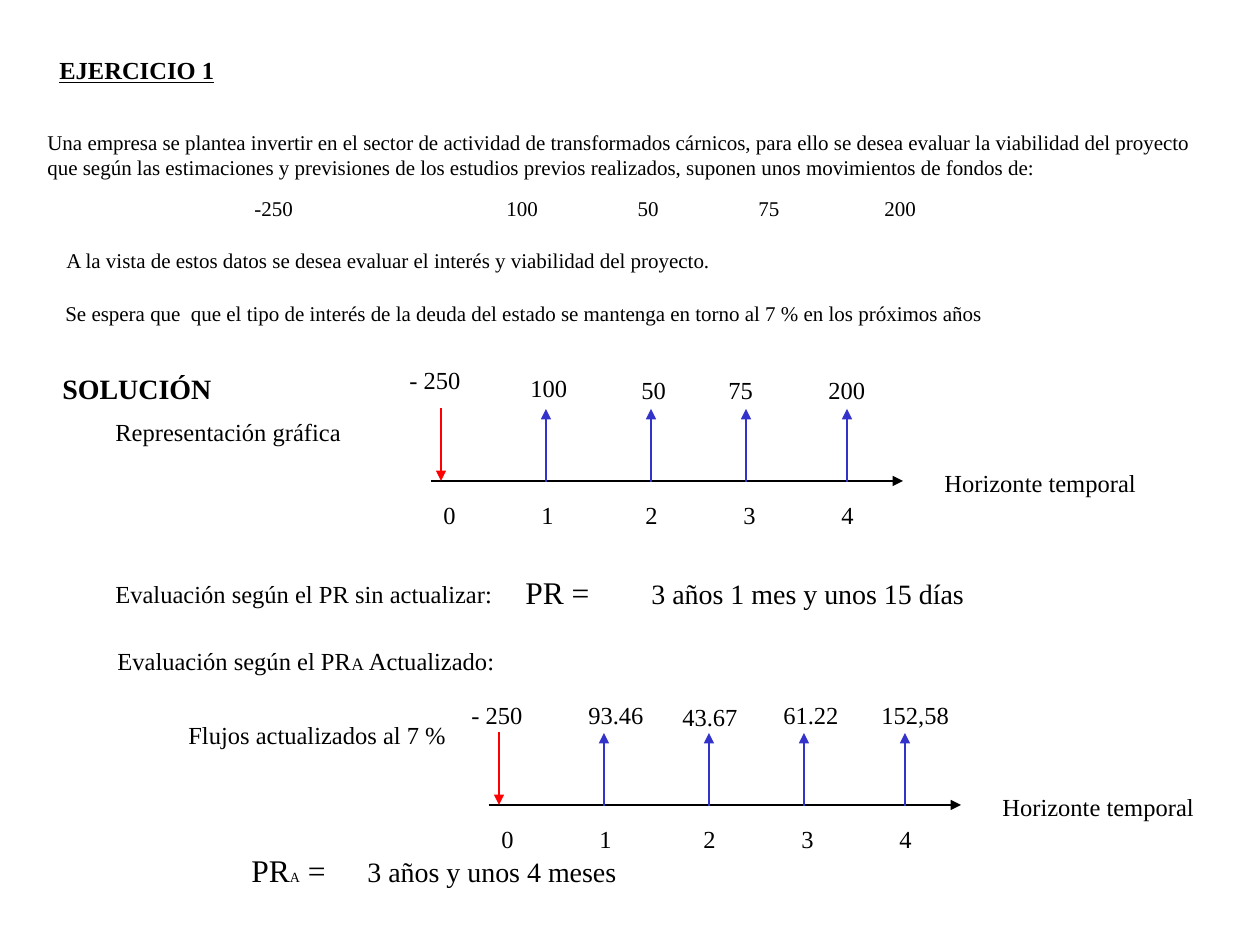
from lxml.etree import SubElement
from pptx import Presentation
from pptx.dml.color import RGBColor
from pptx.enum.shapes import MSO_CONNECTOR
from pptx.enum.text import MSO_AUTO_SIZE
from pptx.oxml.ns import qn
from pptx.util import Emu, Pt

PX = 914400 / 126
FONT = "Times New Roman"
BLACK, RED, BLUE = "000000", "FF0000", "3333CC"
BOX_HEIGHT = {12: 38, 14: 43, 16: 47, 18: 50}  # one line, by text size
SLACK = 6  # spare width that keeps each label on one line

# Arrow positions and label places on the time axis, from its left end
INFLOW_X = (115, 220, 315, 416)
YEAR_TABS = (98, 202, 300, 398)
AMOUNT_TABS = tuple(126 * step for step in range(1, 6))


def px(value):
    return Emu(round(value * PX))


def color(hex_string):
    return RGBColor.from_string(hex_string)


def add_text(shapes, left, top, width, text, size=14, wrap=False, lines=1,
             tabs=(), bold=False, underline=False):
    """Add a text box; text is a string or a list of (text, size) runs."""
    height = BOX_HEIGHT[size] + (lines - 1) * 25
    box_width = width if wrap else width + SLACK
    box = shapes.add_textbox(px(left), px(top), px(box_width), px(height))
    frame = box.text_frame
    frame.word_wrap = wrap
    frame.auto_size = MSO_AUTO_SIZE.SHAPE_TO_FIT_TEXT
    paragraph = frame.paragraphs[0]
    if tabs:
        properties = paragraph._p.get_or_add_pPr()
        tab_list = SubElement(properties, qn("a:tabLst"))
        for position in tabs:
            SubElement(tab_list, qn("a:tab"), pos=str(px(position)), algn="l")
    parts = [(text, size)] if isinstance(text, str) else text
    for words, run_size in parts:
        run = paragraph.add_run()
        run.text = words
        font = run.font
        font.name, font.size = FONT, Pt(run_size)
        font.color.rgb = color(BLACK)
        font.bold, font.underline = bold, underline


def add_arrow(shapes, start, end, line_color, weight):
    arrow = shapes.add_connector(
        MSO_CONNECTOR.STRAIGHT, *(px(value) for value in start + end))
    arrow.line.color.rgb = color(line_color)
    arrow.line.width = Pt(weight)
    SubElement(arrow.line._get_or_add_ln(), qn("a:tailEnd"), type="triangle")
    SubElement(arrow._element.spPr, qn("a:effectLst"))


def add_timeline(slide, left, axis_y):
    """Draw the time axis with one outflow, four inflows and the years."""
    shapes = slide.shapes.add_group_shape().shapes
    add_arrow(shapes, (left, axis_y), (left + 472, axis_y), BLACK, 1.5)
    add_arrow(shapes, (left + 10, axis_y - 73), (left + 10, axis_y), RED, 1)
    for offset in INFLOW_X:
        x = left + offset
        add_arrow(shapes, (x, axis_y + 1), (x, axis_y - 72), BLUE, 0.75)
    add_text(shapes, left, axis_y + 13, 442, "0\t1\t2\t3\t4", tabs=YEAR_TABS)
    add_text(shapes, left + 501, axis_y - 19, 217, "Horizonte temporal")


def add_flows(shapes, flows):
    for left, top, width, amount in flows:
        add_text(shapes, left, top, width, amount)


def main():
    presentation = Presentation()
    presentation.slide_width, presentation.slide_height = px(1260), px(945)
    slide = presentation.slides.add_slide(presentation.slide_layouts[6])
    shapes = slide.shapes

    # Statement of the exercise
    add_text(shapes, 47, 49, 180, "EJERCICIO 1", bold=True, underline=True)
    add_text(shapes, 35, 123, 1187,
             "Una empresa se plantea invertir en el sector de actividad de "
             "transformados cárnicos, para ello se desea evaluar la viabilidad "
             "del proyecto que según las estimaciones y previsiones de los "
             "estudios previos realizados, suponen unos movimientos de fondos "
             "de:", 12, wrap=True, lines=2)
    add_text(shapes, 242, 189, 687, "-250\t\t100\t 50\t75\t200", 12,
             tabs=AMOUNT_TABS)
    add_text(shapes, 54, 241, 670,
             "A la vista de estos datos se desea evaluar el interés y "
             "viabilidad del proyecto.", 12)
    add_text(shapes, 53, 294, 942,
             "Se espera que  que el tipo de interés de la deuda del estado se "
             "mantenga en torno al 7 % en los próximos años", 12)

    # Solution: flows as given
    add_text(shapes, 50, 365, 174, "SOLUCIÓN", 16, bold=True)
    add_text(shapes, 103, 411, 251, "Representación gráfica")
    add_timeline(slide, 431, 481)
    add_flows(shapes, [(397, 359, 76, "- 250"), (518, 367, 62, "100"),
                       (629, 369, 49, "50"), (716, 369, 49, "75"),
                       (816, 369, 62, "200")])

    # Payback without discounting
    add_text(shapes, 103, 573, 402, "Evaluación según el PR sin actualizar:")
    add_text(shapes, 513, 567, 97, "PR =", 18)
    add_text(shapes, 639, 570, 349, "3 años 1 mes y unos 15 días", 16,
             wrap=True)

    # Discounted payback
    add_text(shapes, 105, 640, 403,
             [("Evaluación según el PR", 14), ("A", 10), (" Actualizado:", 14)])
    add_text(shapes, 176, 714, 282, "Flujos actualizados al 7 %")
    add_timeline(slide, 489, 805)
    add_flows(shapes, [(459, 694, 76, "- 250"), (576, 694, 81, "93.46"),
                       (670, 696, 81, "43.67"), (771, 694, 81, "61.22"),
                       (869, 694, 92, "152,58")])
    add_text(shapes, 239, 845, 107, [("PR", 18), ("A", 8), (" =", 18)], 18)
    add_text(shapes, 355, 848, 273, "3 años y unos 4 meses", 16)

    presentation.save("out.pptx")


if __name__ == "__main__":
    main()
